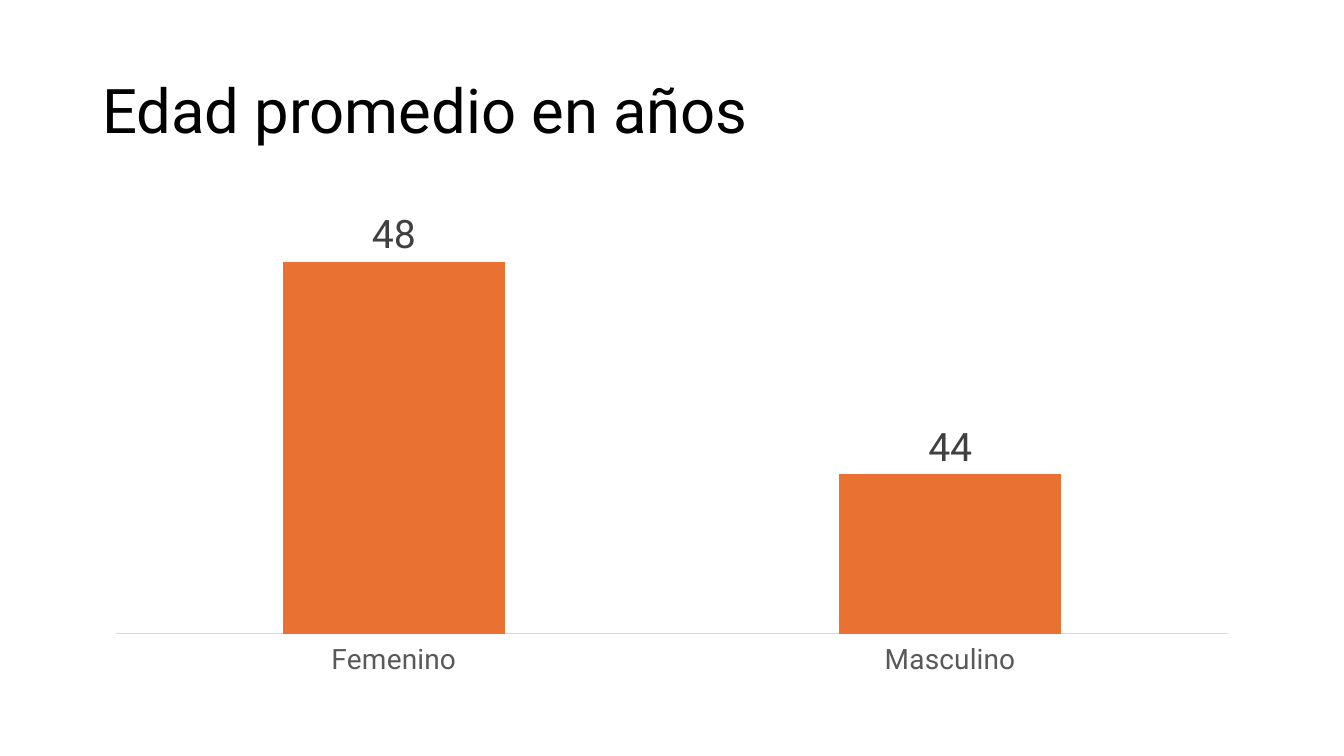
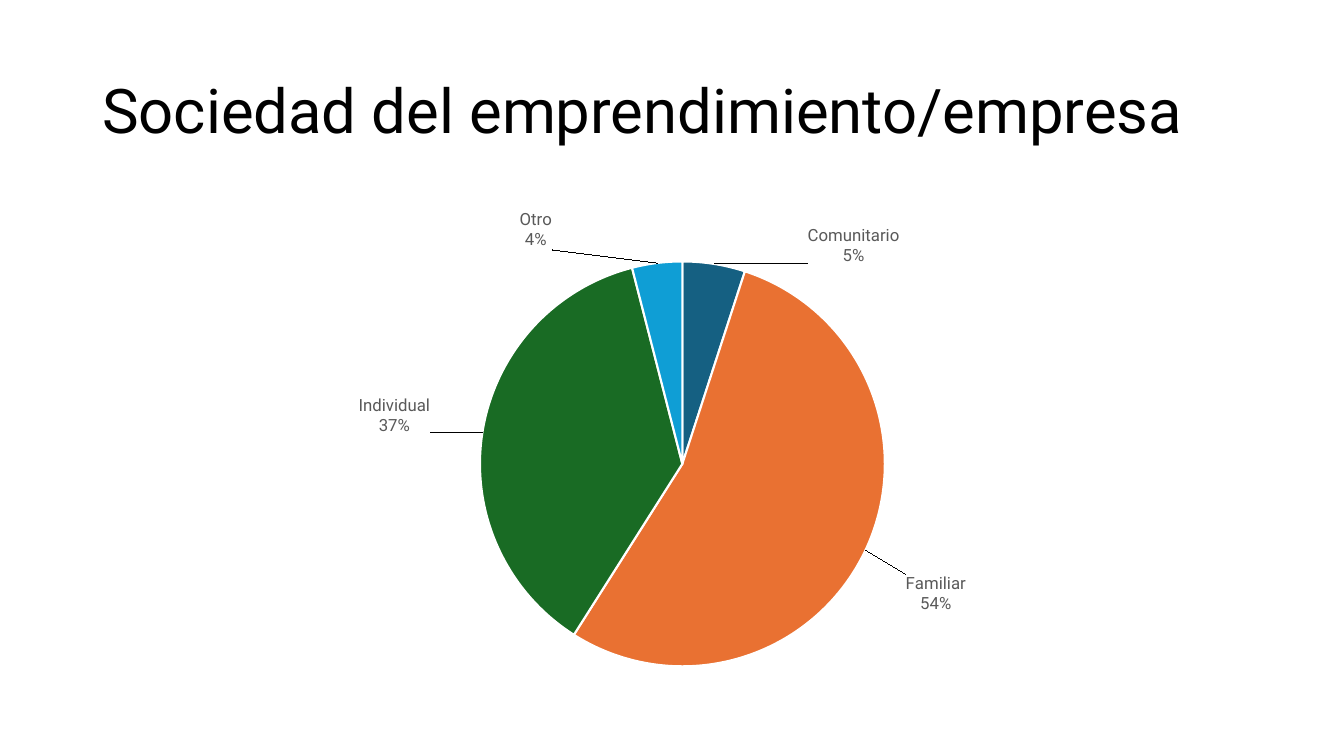
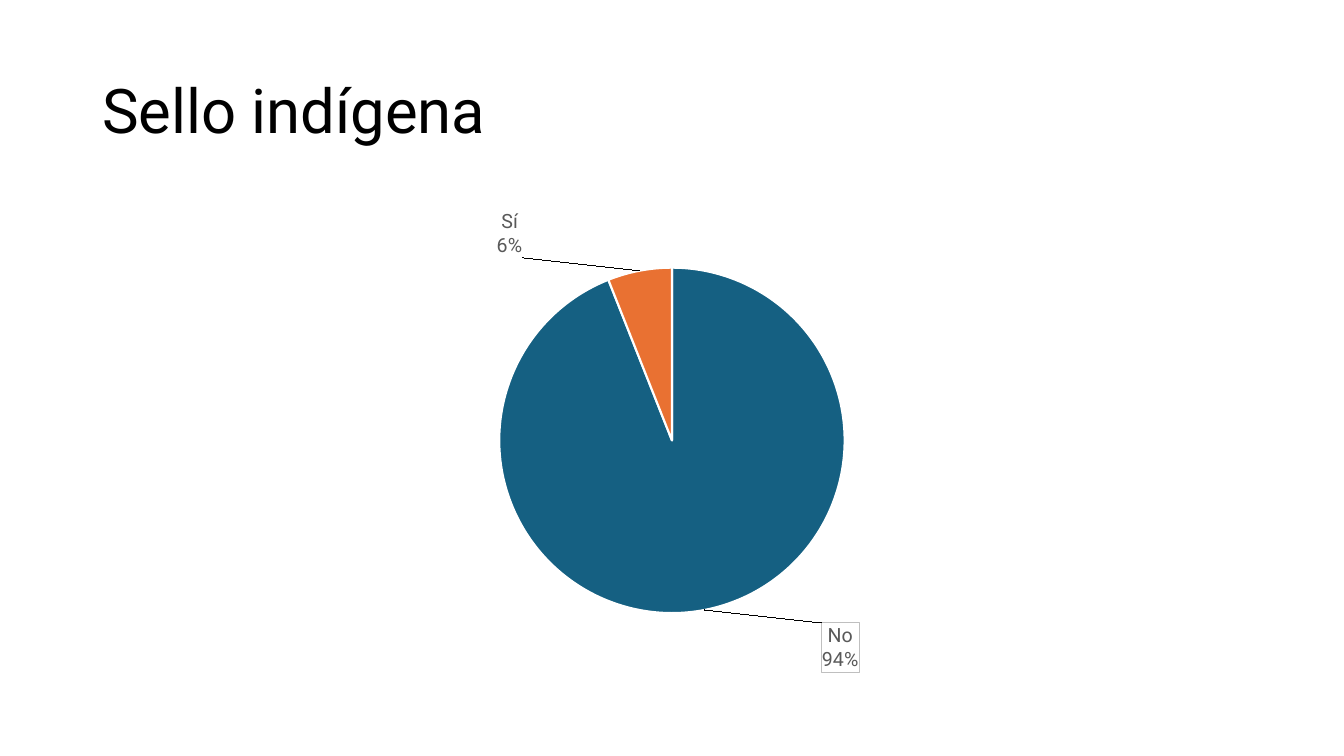
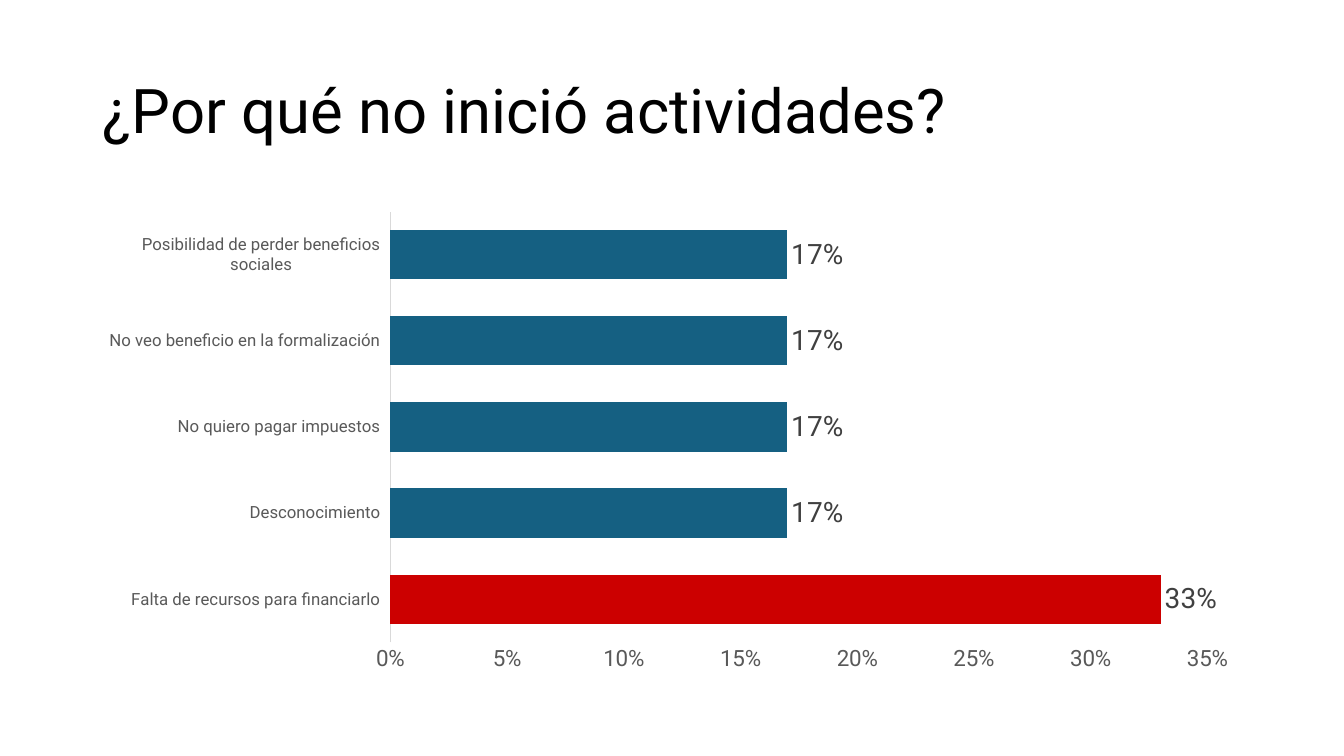
from lxml.etree import SubElement
from pptx import Presentation
from pptx.chart.data import CategoryChartData
from pptx.dml.color import RGBColor
from pptx.enum.chart import XL_CHART_TYPE, XL_LABEL_POSITION, XL_TICK_LABEL_POSITION, XL_TICK_MARK
from pptx.enum.text import MSO_ANCHOR
from pptx.oxml import parse_xml
from pptx.oxml.ns import nsdecls, qn
from pptx.util import Cm, Pt

# Shared style
FONT = "Roboto"
BLUE, ORANGE, GREEN, SKY, RED = "156082", "E97132", "196B24", "0F9ED5", "CC0000"
BLACK, WHITE, DARK, GRAY, RULE, FRAME = "000000", "FFFFFF", "404040", "595959", "D9D9D9", "BFBFBF"
LEFT, WIDTH = Cm(2.33), Cm(29.21)
TITLE_TOP, TITLE_HEIGHT = Cm(1.01), Cm(3.68)
CHART_TOP, CHART_HEIGHT = Cm(5.09), Cm(12.09)


def rgb(code):
    return RGBColor.from_string(code)


def write(slide, text, left, top, width, height, size=44, color=BLACK, spacing=0.9):
    frame = slide.shapes.add_textbox(left, top, width, height).text_frame
    frame.word_wrap = True
    frame.vertical_anchor = MSO_ANCHOR.MIDDLE
    paragraph = frame.paragraphs[0]
    paragraph.text = text
    paragraph.line_spacing = spacing
    paragraph.font.name = FONT
    paragraph.font.size = Pt(size)
    paragraph.font.color.rgb = rgb(color)


# Content: plot is x, y, width, height as shares of the chart;
# offsets move each pie label, framed lists the labels with a border
topics = [
    dict(title="Edad promedio en años", kind=XL_CHART_TYPE.COLUMN_CLUSTERED,
         values={"Femenino": 48, "Masculino": 44}, color=ORANGE, points=[],
         plot=(0.02, 0.015, 0.96, 0.885), label_size=28, label_color=DARK, format="#,##0",
         category_size=20, scale=(41, 49, 1), gap=150, overlap=-25),
    dict(title="Sociedad del emprendimiento/empresa", kind=XL_CHART_TYPE.PIE,
         values={"Comunitario": 5, "Familiar": 54, "Individual": 37, "Otro": 4},
         points=[BLUE, ORANGE, GREEN, SKY],
         plot=(0.334, 0.124, 0.35, 0.844), label_size=12, label_color=GRAY, format="0%",
         offsets=[(0.08, 0.015), (0.03, 0.045), (-0.04, 0.01), (-0.09, -0.015)], framed=[]),
    dict(title="Sello indígena", kind=XL_CHART_TYPE.PIE,
         values={"No": 94, "Sí": 6}, points=[BLUE, ORANGE],
         plot=(0.351, 0.137, 0.298, 0.72), label_size=14, label_color=GRAY, format="0%",
         offsets=[(0.1, 0.015), (-0.1, -0.015)], framed=[0]),
    dict(title="¿Por qué no inició actividades?", kind=XL_CHART_TYPE.BAR_CLUSTERED,
         values={"Falta de recursos para financiarlo": 0.33, "Desconocimiento": 0.17,
                 "No quiero pagar impuestos": 0.17, "No veo beneficio en la formalización": 0.17,
                 "Posibilidad de perder beneficios sociales": 0.17},
         color=BLUE, points=[RED],
         plot=(0.257, 0.02, 0.705, 0.898), label_size=20, label_color=DARK, format="0%",
         category_size=12, value_size=16, scale=(0, 0.35, 0.05), gap=75, overlap=0),
]

deck = Presentation()
deck.slide_width, deck.slide_height = Cm(33.87), Cm(19.05)

for topic in topics:
    slide = deck.slides.add_slide(deck.slide_layouts[6])
    write(slide, topic["title"], LEFT, TITLE_TOP, WIDTH, TITLE_HEIGHT)

    # Chart and plot area
    data = CategoryChartData()
    data.categories = list(topic["values"])
    data.add_series("Series 1", list(topic["values"].values()))
    chart = slide.shapes.add_chart(topic["kind"], LEFT, CHART_TOP, WIDTH, CHART_HEIGHT, data).chart
    chart.has_legend = chart.has_title = False
    chart.font.name = FONT
    chart.font.size = Pt(10)
    chart.font.color.rgb = rgb(BLACK)
    area = chart._chartSpace.chart.plotArea
    for old in area.findall(qn("c:layout")):
        area.remove(old)
    x, y, w, h = topic["plot"]
    area.insert(0, parse_xml(
        f'<c:layout {nsdecls("c")}><c:manualLayout><c:layoutTarget val="inner"/>'
        f'<c:xMode val="edge"/><c:yMode val="edge"/><c:x val="{x}"/><c:y val="{y}"/>'
        f'<c:w val="{w}"/><c:h val="{h}"/></c:manualLayout></c:layout>'))

    # Series and data labels
    is_pie = topic["kind"] == XL_CHART_TYPE.PIE
    plot = chart.plots[0]
    plot.vary_by_categories = is_pie
    series = plot.series[0]
    if not is_pie:
        series.format.fill.solid()
        series.format.fill.fore_color.rgb = rgb(topic["color"])
    for index, color in enumerate(topic["points"]):
        point = series.points[index].format
        point.fill.solid()
        point.fill.fore_color.rgb = rgb(color)
        if is_pie:
            point.line.color.rgb = rgb(WHITE)
            point.line.width = Pt(1.5)
    labels = series.data_labels
    labels.show_value = not is_pie
    labels.show_category_name = labels.show_percentage = is_pie
    labels.number_format = topic["format"]
    labels.number_format_is_linked = False
    labels.position = XL_LABEL_POSITION.OUTSIDE_END
    fonts = [labels.font]

    # Pie labels, each moved off its slice
    if is_pie:
        for index, (dx, dy) in enumerate(topic["offsets"]):
            label = series.points[index].data_label
            label.position = XL_LABEL_POSITION.OUTSIDE_END
            fonts.append(label.font)
            node = labels._element.findall(qn("c:dLbl"))[index]
            for flag, shown in (("showVal", 0), ("showCatName", 1), ("showPercent", 1)):
                node.find(qn(f"c:{flag}")).set("val", str(shown))
            SubElement(node, qn("c:separator")).text = "\n"
            node.insert(1, parse_xml(
                f'<c:layout {nsdecls("c")}><c:manualLayout><c:x val="{dx}"/>'
                f'<c:y val="{dy}"/></c:manualLayout></c:layout>'))
            if index in topic["framed"]:
                node.find(qn("c:txPr")).addprevious(parse_xml(
                    f'<c:spPr {nsdecls("c", "a")}><a:noFill/><a:ln w="9525"><a:solidFill>'
                    f'<a:srgbClr val="{FRAME}"/></a:solidFill></a:ln></c:spPr>'))
        separator = parse_xml(f'<c:separator {nsdecls("c")}>\n</c:separator>')
        labels._element.find(qn("c:showBubbleSize")).addnext(separator)
    for font in fonts:
        font.name = FONT
        font.size = Pt(topic["label_size"])
        font.color.rgb = rgb(topic["label_color"])
    if is_pie:
        continue

    # Axes of the bar charts
    plot.gap_width, plot.overlap = topic["gap"], topic["overlap"]
    categories, scale = chart.category_axis, chart.value_axis
    scale.minimum_scale, scale.maximum_scale, scale.major_unit = topic["scale"]
    scale.has_major_gridlines = False
    scale.visible = "value_size" in topic
    categories.tick_label_position = XL_TICK_LABEL_POSITION.LOW
    categories.format.line.color.rgb = rgb(RULE)
    categories.format.line.width = Pt(0.75)
    scale.format.line.fill.background()
    scale.tick_labels.number_format = topic["format"]
    scale.tick_labels.number_format_is_linked = False
    for axis, size in ((categories, topic["category_size"]), (scale, topic.get("value_size", 10))):
        axis.major_tick_mark = axis.minor_tick_mark = XL_TICK_MARK.NONE
        axis.tick_labels.font.name = FONT
        axis.tick_labels.font.size = Pt(size)
        axis.tick_labels.font.color.rgb = rgb(GRAY)

deck.save("out.pptx")
